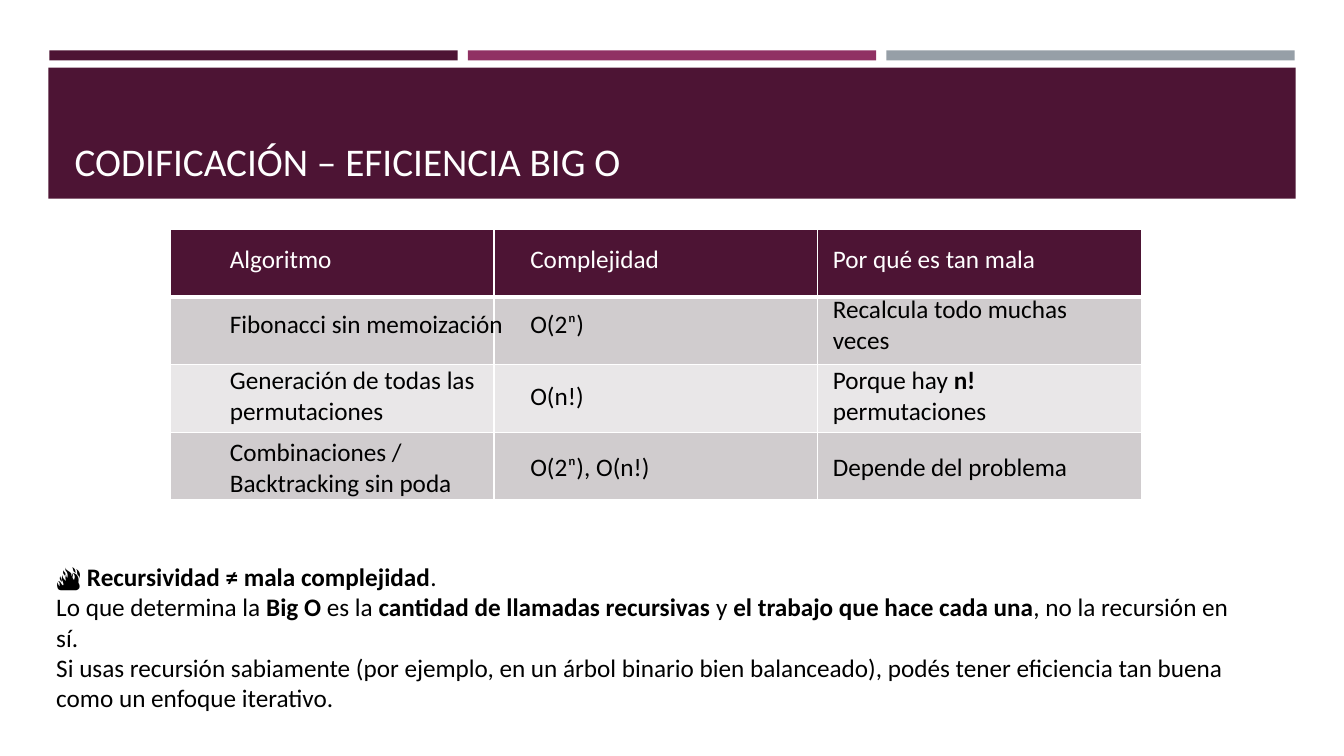
import pptx
import pptx.util
import pptx.dml.color
import pptx.enum.shapes
import pptx.enum.text
import pptx.oxml
from pptx.oxml import ns

RGBColor = pptx.dml.color.RGBColor
Inches = pptx.util.Inches
Pt = pptx.util.Pt
ANCHOR = pptx.enum.text.MSO_ANCHOR

PLUM = RGBColor(0x4D, 0x14, 0x34)
MAGENTA = RGBColor(0x90, 0x31, 0x63)
SLATE = RGBColor(0x96, 0x9F, 0xA7)
DARK_BAND = RGBColor(0xD0, 0xCC, 0xCE)
LIGHT_BAND = RGBColor(0xE9, 0xE7, 0xE8)
WHITE = RGBColor(0xFF, 0xFF, 0xFF)
BLACK = RGBColor(0, 0, 0)

ROWS = [
    ["Algoritmo", "Complejidad", "Por qué es tan mala"],
    ["Fibonacci sin memoización", "O(2ⁿ)", "Recalcula todo muchas veces"],
    ["Generación de todas las permutaciones", "O(n!)",
     "Porque hay **n!** permutaciones"],
    ["Combinaciones / Backtracking sin poda", "O(2ⁿ), O(n!)",
     "Depende del problema"],
]
CONCLUSION = [
    "🔥 **Recursividad ≠ mala complejidad**.",
    "Lo que determina la **Big O** es la **cantidad de llamadas recursivas** y "
    "**el trabajo que hace cada una**, no la recursión en sí.",
    "Si usas recursión sabiamente (por ejemplo, en un árbol binario bien "
    "balanceado), podés tener eficiencia tan buena como un enfoque iterativo.",
]


class SlideBuilder:
    font = "Calibri"
    body_size = 18
    title_size = 28

    def __init__(self, prs):
        self.s = prs.slides.add_slide(prs.slide_layouts[5])

    def fill_paragraph(self, p, text, color, size=body_size):
        """Add the text as runs; parts between ** marks are bold."""
        for i, part in enumerate(text.split("**")):
            if part:
                r = p.add_run()
                r.text = part
                if i % 2:
                    r.font.bold = True
        p.font.name = self.font
        p.font.size = Pt(size)
        p.font.color.rgb = color

    def bar(self, x, y, w, h, color):
        sp = self.s.shapes.add_shape(
            pptx.enum.shapes.MSO_SHAPE.RECTANGLE,
            Inches(x), Inches(y), Inches(w), Inches(h))
        sp.shadow.inherit = False
        sp.fill.solid()
        sp.fill.fore_color.rgb = color
        sp.line.fill.background()

    def title(self, text, x, y, w, h):
        sp = self.s.shapes.title
        sp.left, sp.top = Inches(x), Inches(y)
        sp.width, sp.height = Inches(w), Inches(h)
        # Bring the title in front of the banner.
        self.s.shapes._spTree.append(sp._element)
        tf = sp.text_frame
        tf.vertical_anchor = ANCHOR.BOTTOM
        p = tf.paragraphs[0]
        p.alignment = pptx.enum.text.PP_ALIGN.LEFT
        self.fill_paragraph(p, text, WHITE, self.title_size)

    def text(self, lines, x, y, w, h):
        tf = self.s.shapes.add_textbox(
            Inches(x), Inches(y), Inches(w), Inches(h)).text_frame
        tf.word_wrap = True
        for i, line in enumerate(lines):
            p = tf.add_paragraph() if i else tf.paragraphs[0]
            self.fill_paragraph(p, line, BLACK)

    def table(self, x, y, widths, row_height, n):
        """Add a table of n rows without banding."""
        table = self.s.shapes.add_table(
            n, len(widths), Inches(x), Inches(y),
            Inches(sum(widths)), Inches(row_height * n)).table
        table.first_row = table.horz_banding = False
        for column, width in zip(table.columns, widths):
            column.width = Inches(width)
        for row in table.rows:
            row.height = Inches(row_height)
        return table

    def borders(self, cell, color=None, bottom=1, top=1):
        """Draw the four cell borders, or none when no colour is given."""
        for side, width in zip("LRTB", (1, 1, top, bottom)):
            paint = (f'<a:solidFill><a:srgbClr val="{color}"/></a:solidFill>'
                     if color else "<a:noFill/>")
            cell._tc.get_or_add_tcPr().append(pptx.oxml.parse_xml(
                f'<a:ln{side} {ns.nsdecls("a")} w="{int(Pt(width))}">'
                f'{paint}</a:ln{side}>'))

    def band_table(self, x, y, widths, row_height, bands):
        table = self.table(x, y, widths, row_height, len(bands))
        for i, (row, color) in enumerate(zip(table.rows, bands)):
            for cell in row.cells:
                self.borders(cell, WHITE, bottom=1 if i else 3,
                             top=3 if i == 1 else 1)
                cell.fill.solid()
                cell.fill.fore_color.rgb = color

    def text_table(self, x, y, widths, row_height, rows):
        table = self.table(x, y, widths, row_height, len(rows))
        for i, (row, texts) in enumerate(zip(table.rows, rows)):
            for cell, text in zip(row.cells, texts):
                self.borders(cell)
                cell.fill.background()
                cell.vertical_anchor = ANCHOR.MIDDLE
                self.fill_paragraph(cell.text_frame.paragraphs[0], text,
                                    BLACK if i else WHITE)


def main():
    prs = pptx.Presentation()
    prs.slide_width, prs.slide_height = Inches(13.33), Inches(7.5)
    b = SlideBuilder(prs)
    for i, color in enumerate([PLUM, MAGENTA, SLATE]):
        b.bar(0.49 + 4.15 * i, 0.5, 4.05, 0.1, color)
    b.bar(0.48, 0.67, 12.37, 1.3, PLUM)
    b.title("CODIFICACIÓN – EFICIENCIA BIG O", 0.64, 0.77, 12.06, 1.11)
    b.band_table(1.69, 2.28, [3.21] * 3, 0.67,
                 [PLUM, DARK_BAND, LIGHT_BAND, DARK_BAND])
    b.text_table(2.18, 2.28, [2.98, 3, 3], 0.59, ROWS)
    b.text(CONCLUSION, 0.46, 5.52, 11.87, 1.62)
    prs.save("out.pptx")


if __name__ == "__main__":
    main()
